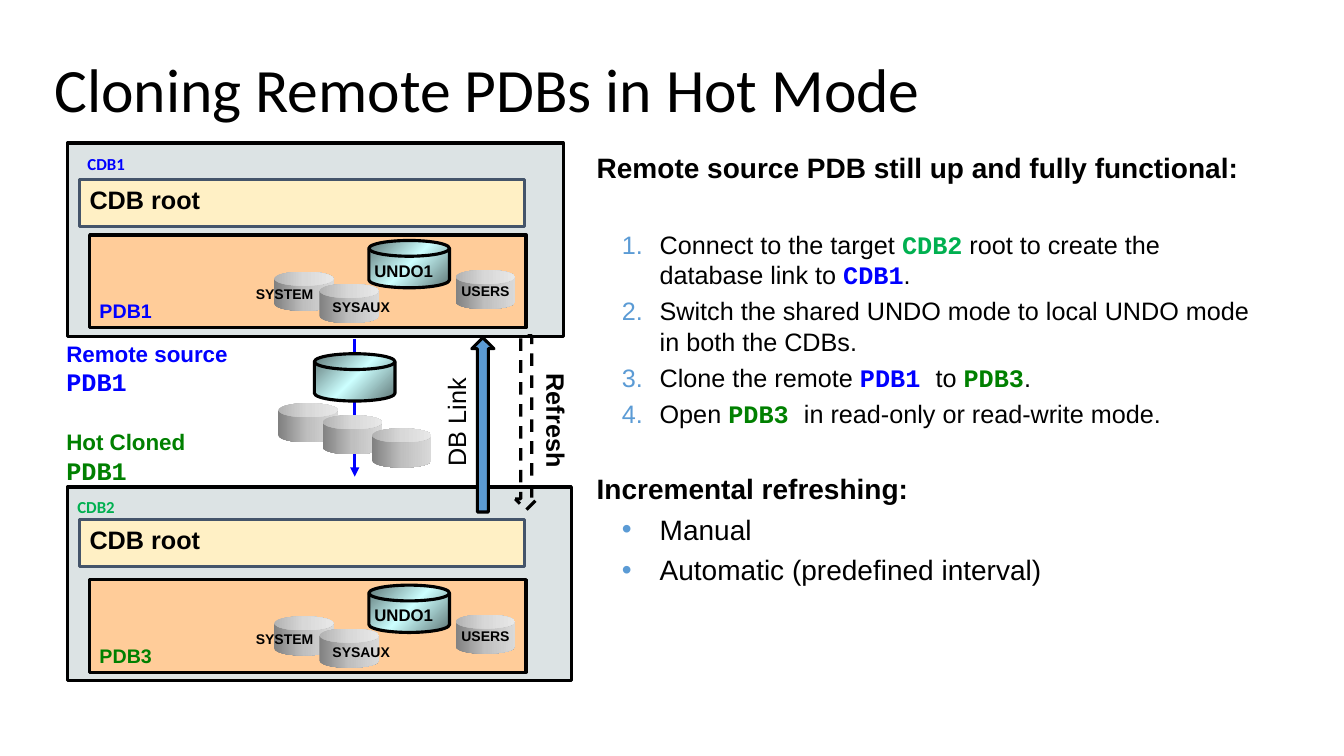
import dataclasses

import lxml.etree
import pptx
import pptx.dml.color
import pptx.enum.dml
import pptx.enum.shapes
import pptx.enum.text
import pptx.oxml.ns
import pptx.util

Pt = pptx.util.Pt
qn = pptx.oxml.ns.qn
PRESET = pptx.enum.shapes.MSO_SHAPE
ANCHOR = pptx.enum.text.MSO_ANCHOR


@dataclasses.dataclass(frozen=True)
class Theme:
    sans: str = "Arial"
    heading: str = "Calibri"
    mono: str = "Courier New"
    black: str = "000000"
    blue: str = "0000FF"
    green: str = "008000"
    bright_green: str = "00B050"
    accent: str = "5B9BD5"
    container: str = "DCE3E4"
    root: str = "FFF0C5"
    root_edge: str = "44546A"
    pluggable: str = "FFCC99"
    undo: tuple = ("5E7676", "CCFFFF", "5E7676")
    tablespace: tuple = ("808080", "BFBFBF", "D9D9D9")
    title_size: float = 44
    lead_size: float = 20
    text_size: float = 18
    caption_size: float = 16
    pdb_size: float = 14
    label_size: float = 12
    small_size: float = 10
    edge: float = 2.25


THEME = Theme()
CAN_SIZE = (42.5, 28)
UNDO_SIZE = (57.6, 33.8)
# Name, can position and label position; heights count from the top of the PDB
TABLESPACES = (
    ("SYSTEM", (195.8, 26.25), (175.7, 32.75)),
    ("SYSAUX", (228.2, 35), (230.4, 42)),
    ("USERS", (325.4, 25), (322.5, 30.75)),
)


def rgb(code):
    return pptx.dml.color.RGBColor.from_string(code)


def style(font, size, color=THEME.black, bold=True, name=THEME.sans):
    font.name, font.size, font.bold = name, Pt(size), bold
    font.color.rgb = rgb(color)


def write(frame, text, size, color=THEME.black, bold=True, name=THEME.sans, anchor=ANCHOR.TOP):
    frame.word_wrap = True
    frame.vertical_anchor = anchor
    paragraph = frame.paragraphs[0]
    paragraph.text = text
    paragraph.alignment = pptx.enum.text.PP_ALIGN.LEFT
    style(paragraph.font, size, color, bold, name)
    return paragraph


def add_label(shapes, box, text, size, color=THEME.black, bold=True, name=THEME.sans):
    label = shapes.add_textbox(*map(Pt, box))
    write(label.text_frame, text, size, color, bold, name)
    return label


def add_block(shapes, preset, box, fill=None, edge=THEME.black):
    block = shapes.add_shape(preset, *map(Pt, box))
    block.shadow.inherit = False
    if fill:
        block.fill.solid()
        block.fill.fore_color.rgb = rgb(fill)
    else:
        block.fill.background()
    if edge:
        block.line.color.rgb = rgb(edge)
        block.line.width = Pt(THEME.edge)
    else:
        block.line.fill.background()
    return block


def shade(block, colors, angle):
    """Fill with evenly spaced gradient stops."""
    block.fill.gradient()
    block.fill.gradient_angle = angle
    stops = block.element.spPr.find(".//" + qn("a:gsLst"))
    for stop in list(stops):
        stops.remove(stop)
    for i, color in enumerate(colors):
        position = str(100000 * i // (len(colors) - 1))
        stop = lxml.etree.SubElement(stops, qn("a:gs"), pos=position)
        lxml.etree.SubElement(stop, qn("a:srgbClr"), val=color)


def add_can(shapes, left, top):
    can = add_block(shapes, PRESET.CAN, (left, top, *CAN_SIZE), edge=None)
    can.adjustments[0] = 0.36
    shade(can, THEME.tablespace, 0)


def add_undo(shapes, left, top):
    undo = add_block(shapes, PRESET.FLOWCHART_MAGNETIC_DISK, (left, top, *UNDO_SIZE))
    shade(undo, THEME.undo, 315)


def add_database(shapes, frame, cdb, root_top, pdb, pdb_top):
    """Draw a CDB; cdb is (name, colour, left, top) and pdb is (name, colour)."""
    add_block(shapes, PRESET.RECTANGLE, frame, THEME.container)
    cdb_name, cdb_color, left, top = cdb
    cdb_label = add_label(shapes, (left, top, 91.4, 18.7), cdb_name,
                          THEME.label_size, cdb_color, name=THEME.heading)
    cdb_label.text_frame.paragraphs[0].line_spacing = 0.8

    root = add_block(shapes, PRESET.RECTANGLE, (56.9, root_top, 317.5, 33.8),
                     THEME.root, THEME.root_edge)
    write(root.text_frame, "CDB root", THEME.text_size)
    pluggable = add_block(shapes, PRESET.RECTANGLE, (64, pdb_top, 311.8, 66.2), THEME.pluggable)
    write(pluggable.text_frame, pdb[0], THEME.pdb_size, pdb[1], anchor=ANCHOR.BOTTOM)

    add_undo(shapes, 263.5, pdb_top + 4)
    add_label(shapes, (260.3, pdb_top + 14.75, 76.3, 21.6), "UNDO1", THEME.label_size)
    tablespaces = shapes.add_group_shape().shapes
    for _, (can_left, can_top), _ in TABLESPACES:
        add_can(tablespaces, can_left, pdb_top + can_top)
    for name, _, (label_left, label_top) in TABLESPACES:
        add_label(tablespaces, (label_left, pdb_top + label_top, 87.8, 19.4),
                  name, THEME.small_size)


def add_caption(shapes, box, text, color):
    """Two lines, the second naming the PDB in monospace."""
    caption = add_label(shapes, box, text, THEME.caption_size, color)
    caption.text_frame.margin_top = 0
    paragraph = caption.text_frame.paragraphs[0]
    paragraph.add_line_break()
    pdb = paragraph.add_run()
    pdb.text = "PDB1"
    style(pdb.font, THEME.text_size, color, name=THEME.mono)


def add_clone_flow(shapes):
    flow = shapes.add_connector(pptx.enum.shapes.MSO_CONNECTOR.STRAIGHT,
                                Pt(253.4), Pt(242), Pt(253.4), Pt(340.5))
    flow.line.color.rgb = rgb(THEME.blue)
    flow.line.width = Pt(THEME.edge)
    lxml.etree.SubElement(flow.line._get_or_add_ln(), qn("a:tailEnd"), type="triangle")
    lxml.etree.SubElement(flow._element.spPr, qn("a:effectLst"))
    add_undo(shapes, 224.6, 252.7)
    copied = shapes.add_group_shape().shapes
    for left, top in ((198.7, 288), (230.4, 296.6), (265.7, 306)):
        add_can(copied, left, top)


def add_links(shapes):
    add_block(shapes, PRESET.UP_ARROW, (337, 241.2, 15.8, 124.5), THEME.accent)
    refresh = add_block(shapes, PRESET.DOWN_ARROW, (368, 239.8, 15.8, 124.5))
    refresh.line.dash_style = pptx.enum.dml.MSO_LINE.DASH
    for text, left, width, rotation, bold in (("DB Link", 286.5, 78.5, 270, False),
                                              ("Refresh", 356.4, 82, 90, True)):
        label = add_label(shapes, (left, 286.5, width, 28.8), text, THEME.text_size, bold=bold)
        label.text_frame.word_wrap = False
        label.rotation = rotation


def add_point(frame, runs, size, space=4.3, marker=None, bold=False):
    """Add a paragraph; a run is plain text or a (text, colour) code word."""
    first = not frame.paragraphs[0].runs
    paragraph = frame.paragraphs[0] if first else frame.add_paragraph()
    properties = paragraph._p.get_or_add_pPr()
    properties.set("marL", str(Pt(45 if marker else 0)))
    properties.set("indent", str(Pt(-27 if marker else 0)))
    if marker:
        paragraph.level = 1
        tint = lxml.etree.SubElement(properties, qn("a:buClr"))
        lxml.etree.SubElement(tint, qn("a:srgbClr"), val=THEME.accent)
        lxml.etree.SubElement(properties, qn("a:buFont"), typeface=THEME.sans)
    if marker == "1.":
        lxml.etree.SubElement(properties, qn("a:buAutoNum"), type="arabicPeriod")
    elif marker:
        lxml.etree.SubElement(properties, qn("a:buChar"), char=marker)
    else:
        lxml.etree.SubElement(properties, qn("a:buNone"))
    paragraph.space_before = Pt(space)
    style(paragraph.font, size, bold=bold)
    for part in runs:
        run = paragraph.add_run()
        if isinstance(part, str):
            run.text = part
        else:
            run.text, color = part
            style(run.font, size, color, name=THEME.mono)


def place(placeholder, box):
    placeholder.left, placeholder.top, placeholder.width, placeholder.height = map(Pt, box)
    placeholder.text_frame.auto_size = pptx.enum.text.MSO_AUTO_SIZE.NONE
    return placeholder.text_frame


def fill_body(body):
    frame = place(body, (419, 102.2, 488.2, 323.3))
    frame.word_wrap = True
    frame.margin_top = Pt(5)
    add_point(frame, ["Remote source PDB still up and fully functional:"],
              THEME.lead_size, 0, bold=True)
    steps = (
        ["Connect to the target ", ("CDB2", THEME.bright_green),
         " root to create the database link to ", ("CDB1", THEME.blue), "."],
        ["Switch the shared UNDO mode to local UNDO mode in both the CDBs."],
        ["Clone the remote ", ("PDB1 ", THEME.blue), "to ", ("PDB3", THEME.green), "."],
        ["Open ", ("PDB3 ", THEME.green), "in read-only or read-write mode."],
    )
    for i, step in enumerate(steps):
        add_point(frame, step, THEME.text_size, 4.3 if i else 32.5, "1.")
    add_point(frame, ["Incremental refreshing:"], THEME.lead_size, 30.5, bold=True)
    for choice in ("Manual", "Automatic (predefined interval)"):
        add_point(frame, [choice], THEME.lead_size, 5, "•")


def main():
    deck = pptx.Presentation()
    deck.slide_width, deck.slide_height = Pt(960), Pt(540)
    slide = deck.slides.add_slide(deck.slide_layouts[1])
    shapes = slide.shapes
    title = write(place(shapes.title, (31.7, 13.7, 828, 104.4)), "Cloning Remote PDBs in Hot Mode",
                  THEME.title_size, bold=False, name=THEME.heading, anchor=ANCHOR.MIDDLE)
    title.line_spacing = 0.9
    fill_body(slide.placeholders[1])
    add_database(shapes, (48.2, 102.2, 354.2, 138.2), ("CDB1", THEME.blue, 55.4, 109.4),
                 128.2, ("PDB1", THEME.blue), 167.8)
    add_database(shapes, (48.2, 347.8, 360, 138.2), ("CDB2", THEME.bright_green, 48.2, 354.2),
                 370.8, ("PDB3", THEME.green), 414)
    add_caption(shapes, (40.3, 242.6, 184.3, 44.6), "Remote source", THEME.blue)
    add_caption(shapes, (40.3, 306, 152, 44.6), "Hot Cloned", THEME.green)
    add_clone_flow(shapes)
    add_links(shapes)
    deck.save("out.pptx")


if __name__ == "__main__":
    main()
